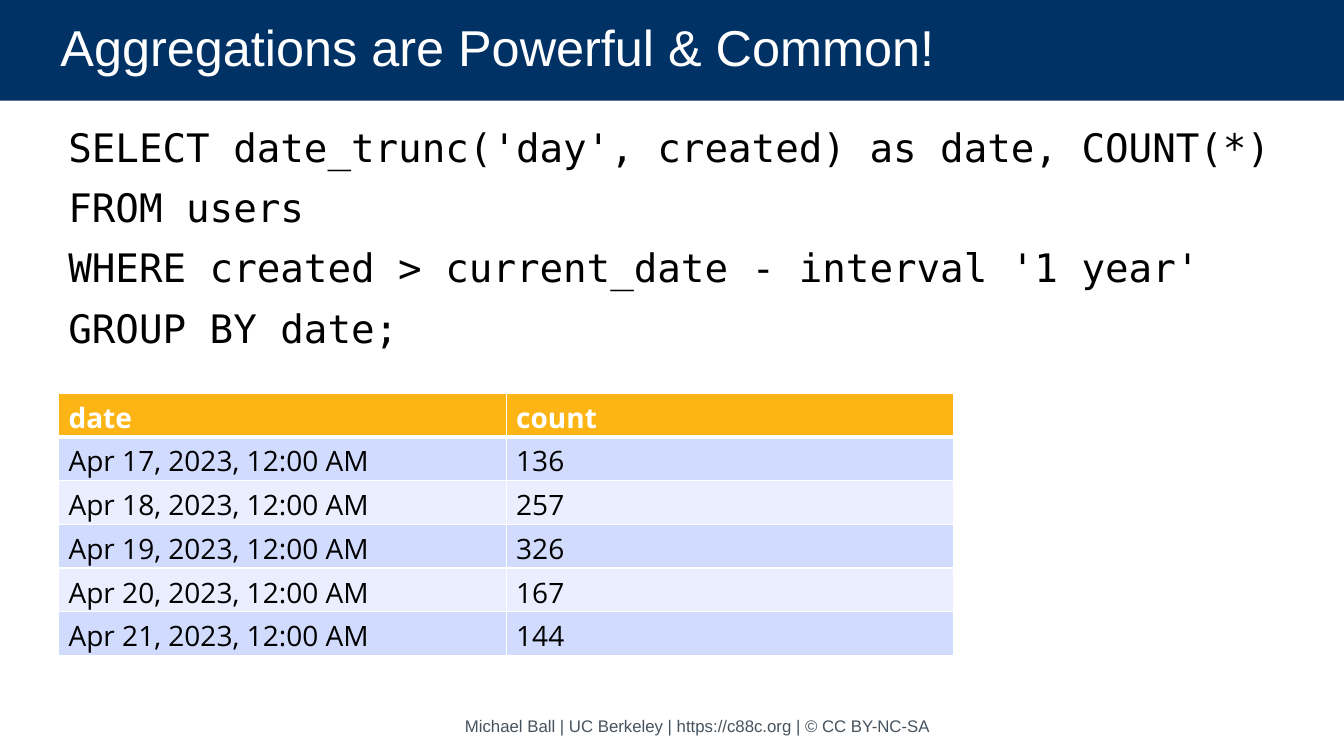
import pptx
import pptx.util
import pptx.dml.color
import pptx.enum.shapes
import pptx.enum.text
from lxml import etree
from pptx.util import Inches

DRAWING_NS = "http://schemas.openxmlformats.org/drawingml/2006/main"
ALIGN = pptx.enum.text.PP_ALIGN
MIDDLE = pptx.enum.text.MSO_ANCHOR.MIDDLE


def color(hex_code):
    return pptx.dml.color.RGBColor.from_string(hex_code)


def add_run(paragraph, text, size, font, hex_code, bold=False):
    run = paragraph.add_run()
    run.text = text
    run.font.size = pptx.util.Pt(size)
    run.font.name = font
    run.font.bold = bold
    run.font.color.rgb = color(hex_code)


deck = pptx.Presentation()
deck.slide_width = Inches(13.33)
deck.slide_height = Inches(7.5)
slide = deck.slides.add_slide(deck.slide_layouts[6])

# Title band
title = slide.shapes.add_shape(pptx.enum.shapes.MSO_SHAPE.RECTANGLE,
                               0, 0, deck.slide_width, Inches(1))
title.shadow.inherit = False
title.fill.solid()
title.fill.fore_color.rgb = color("003265")
title.line.fill.background()
title.text_frame.margin_left = Inches(0.6)
title.text_frame.margin_right = Inches(1)
title.text_frame.vertical_anchor = MIDDLE
heading = title.text_frame.paragraphs[0]
heading.alignment = ALIGN.LEFT
heading.line_spacing = 0.9
add_run(heading, "Aggregations are Powerful & Common!", 36, "Arial", "FFFFFF")

# SQL query
query_lines = [
    "SELECT date_trunc('day', created) as date, COUNT(*)",
    "FROM users",
    "WHERE created > current_date - interval '1 year'",
    "GROUP BY date;",
]
query = slide.shapes.add_textbox(Inches(0.58), Inches(1.17), Inches(12.27), Inches(5.75)).text_frame
query.word_wrap = True
for i, line in enumerate(query_lines):
    paragraph = query.add_paragraph() if i else query.paragraphs[0]
    if i:
        paragraph.space_before = pptx.util.Pt(9.5)
    add_run(paragraph, line, 28, "DejaVu Sans Mono", "000000")

# Footer
footer = slide.shapes.add_textbox(Inches(4.42), Inches(7.04), Inches(5), Inches(0.33)).text_frame
footer.word_wrap = True
footer.vertical_anchor = MIDDLE
footer.paragraphs[0].alignment = ALIGN.CENTER
add_run(footer.paragraphs[0], "Michael Ball | UC Berkeley | https://c88c.org | © CC BY-NC-SA",
        12, "Arial", "46535E")

# Query result
daily_counts = [
    ("date", "count"),
    ("Apr 17, 2023, 12:00 AM", "136"),
    ("Apr 18, 2023, 12:00 AM", "257"),
    ("Apr 19, 2023, 12:00 AM", "326"),
    ("Apr 20, 2023, 12:00 AM", "167"),
    ("Apr 21, 2023, 12:00 AM", "144"),
]
result = slide.shapes.add_table(len(daily_counts), 2, Inches(0.58), Inches(3.9),
                                Inches(8.88), Inches(2.6)).table
for r, values in enumerate(daily_counts):
    is_header = r == 0
    band = "FCB515" if is_header else ("EAEEFF", "D1DBFE")[r % 2]
    border_points = {"lnL": 1, "lnR": 1, "lnT": 3 if r == 1 else 1, "lnB": 3 if is_header else 1}
    for c, value in enumerate(values):
        cell = result.cell(r, c)
        properties = cell._tc.get_or_add_tcPr()
        for side, points in border_points.items():
            border = etree.SubElement(properties, f"{{{DRAWING_NS}}}{side}",
                                      w=str(pptx.util.Pt(points)))
            border_fill = etree.SubElement(border, f"{{{DRAWING_NS}}}solidFill")
            etree.SubElement(border_fill, f"{{{DRAWING_NS}}}srgbClr", val="FFFFFF")
        cell.fill.solid()
        cell.fill.fore_color.rgb = color(band)
        add_run(cell.text_frame.paragraphs[0], value, 20, "Open Sans",
                "FFFFFF" if is_header else "000000", bold=is_header)

deck.save("out.pptx")
